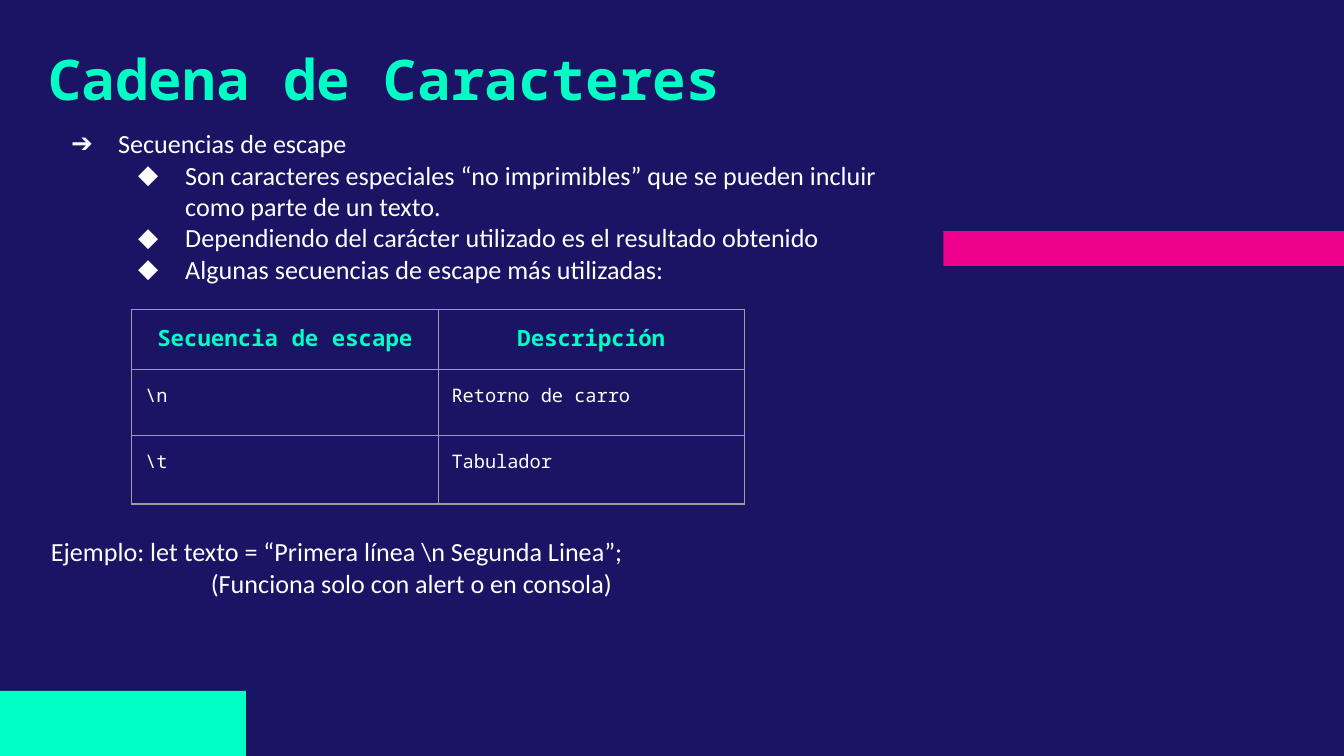
from lxml.etree import SubElement
from pptx import Presentation
from pptx.dml.color import RGBColor
from pptx.enum.shapes import MSO_SHAPE
from pptx.enum.text import MSO_ANCHOR, PP_ALIGN
from pptx.oxml.ns import qn
from pptx.util import Inches, Pt

COLORS = {"navy": "1B1464", "pink": "EC008C", "mint": "00FFC5",
          "white": "FFFFFF", "gray": "9E9E9E"}
MONO, SANS = "Noto Sans Mono", "Calibri"
PAD = Inches(0.1)
WIDTH = 10
HEIGHT = WIDTH * 9 / 16

# text, left margin, first-line indent, bullet, space before in points
BODY = [
    ("Secuencias de escape", 0.5, -0.35, "➔", 0),
    ("Son caracteres especiales “no imprimibles” que se pueden incluir "
     "como parte de un texto.", 1, -0.35, "◆", 0),
    ("Dependiendo del carácter utilizado es el resultado obtenido",
     1, -0.35, "◆", 0),
    ("Algunas secuencias de escape más utilizadas:", 1, -0.35, "◆", 0),
    ("Ejemplo: let texto = “Primera línea \\n Segunda Linea”;",
     0, 0, None, 134.5),
    ("(Funciona solo con alert o en consola)", 1.19, 0, None, 0),
]
ROWS = [("Secuencia de escape", "Descripción"),
        ("\\n", "Retorno de carro"),
        ("\\t", "Tabulador")]


def rgb(name):
    return RGBColor.from_string(COLORS[name])


def tint(parent, tag, name):
    """Add a child of the given tag that holds a colour."""
    SubElement(SubElement(parent, qn(tag)), qn("a:srgbClr"), val=COLORS[name])


class Deck:
    """Holds the slide and draws each kind of element in one style."""

    def __init__(self, slide):
        self.slide = slide
        slide.background.fill.solid()
        slide.background.fill.fore_color.rgb = rgb("navy")

    def style(self, para, size, font, color, bold=False):
        for run in para.runs:
            run.font.size = Pt(size)
            run.font.name = font
            run.font.bold = bold
            run.font.color.rgb = rgb(color)

    def pad(self, item):
        item.margin_left = item.margin_right = PAD
        item.margin_top = item.margin_bottom = PAD

    def block(self, left, top, width, height, color):
        shape = self.slide.shapes.add_shape(
            MSO_SHAPE.RECTANGLE, *map(Inches, (left, top, width, height)))
        shape.shadow.inherit = False
        shape.fill.solid()
        shape.fill.fore_color.rgb = rgb(color)
        shape.line.fill.background()

    def box(self, place, anchor=MSO_ANCHOR.TOP):
        frame = self.slide.shapes.add_textbox(*map(Inches, place)).text_frame
        frame.word_wrap = True
        frame.vertical_anchor = anchor
        self.pad(frame)
        return frame

    def title(self, text, *place):
        frame = self.box(place, MSO_ANCHOR.MIDDLE)
        frame.text = text
        self.style(frame.paragraphs[0], 30, MONO, "mint", True)

    def bullet(self, para, mark):
        props = para._p.get_or_add_pPr()
        tint(props, "a:buClr", "white")
        SubElement(props, qn("a:buFont"), typeface=SANS)
        SubElement(props, qn("a:buChar"), char=mark)

    def body(self, items, *place):
        frame = self.box(place)
        frame.text = "\n".join(item[0] for item in items)
        for para, (_, left, indent, mark, gap) in zip(frame.paragraphs, items):
            self.style(para, 14, SANS, "white")
            para.space_before = Pt(gap)
            props = para._p.get_or_add_pPr()
            props.set("marL", str(Inches(left)))
            props.set("indent", str(Inches(indent)))
            if mark:
                para.level = int(left > 0.5)
                self.bullet(para, mark)

    def border(self, cell):
        props = cell._tc.get_or_add_tcPr()
        for side in ("lnL", "lnR", "lnT", "lnB"):
            line = SubElement(props, qn(f"a:{side}"), w=str(Pt(0.75)))
            tint(line, "a:solidFill", "gray")

    def table(self, rows, left, top, widths, heights):
        grid = self.slide.shapes.add_table(
            len(rows), len(widths), Inches(left), Inches(top),
            Inches(sum(widths)), Inches(sum(heights))).table
        grid.first_row = grid.horz_banding = False
        for col, width in zip(grid.columns, widths):
            col.width = Inches(width)
        for r, (row, height) in enumerate(zip(rows, heights)):
            grid.rows[r].height = Inches(height)
            for c, text in enumerate(row):
                cell = grid.cell(r, c)
                cell.text_frame.text = text
                self.pad(cell)
                para = cell.text_frame.paragraphs[0]
                if r == 0:
                    para.alignment = PP_ALIGN.CENTER
                    self.style(para, 12, MONO, "mint", True)
                else:
                    self.style(para, 10, MONO, "white")
                self.border(cell)
                cell.fill.background()


def main():
    prs = Presentation()
    prs.slide_width, prs.slide_height = Inches(WIDTH), Inches(HEIGHT)
    deck = Deck(prs.slides.add_slide(prs.slide_layouts[6]))
    deck.block(7.02, 1.72, 2.98, 0.26, "pink")
    deck.block(0, 5.14, 1.83, HEIGHT - 5.14, "mint")
    deck.title("Cadena de Caracteres", 0.26, 0.22, 8.14, 0.73)
    deck.table(ROWS, 0.98, 2.3, (2.28, 2.28), (0.45, 0.49, 0.51))
    deck.body(BODY, 0.28, 0.85, 6.51, 3.88)
    prs.save("out.pptx")


if __name__ == "__main__":
    main()
